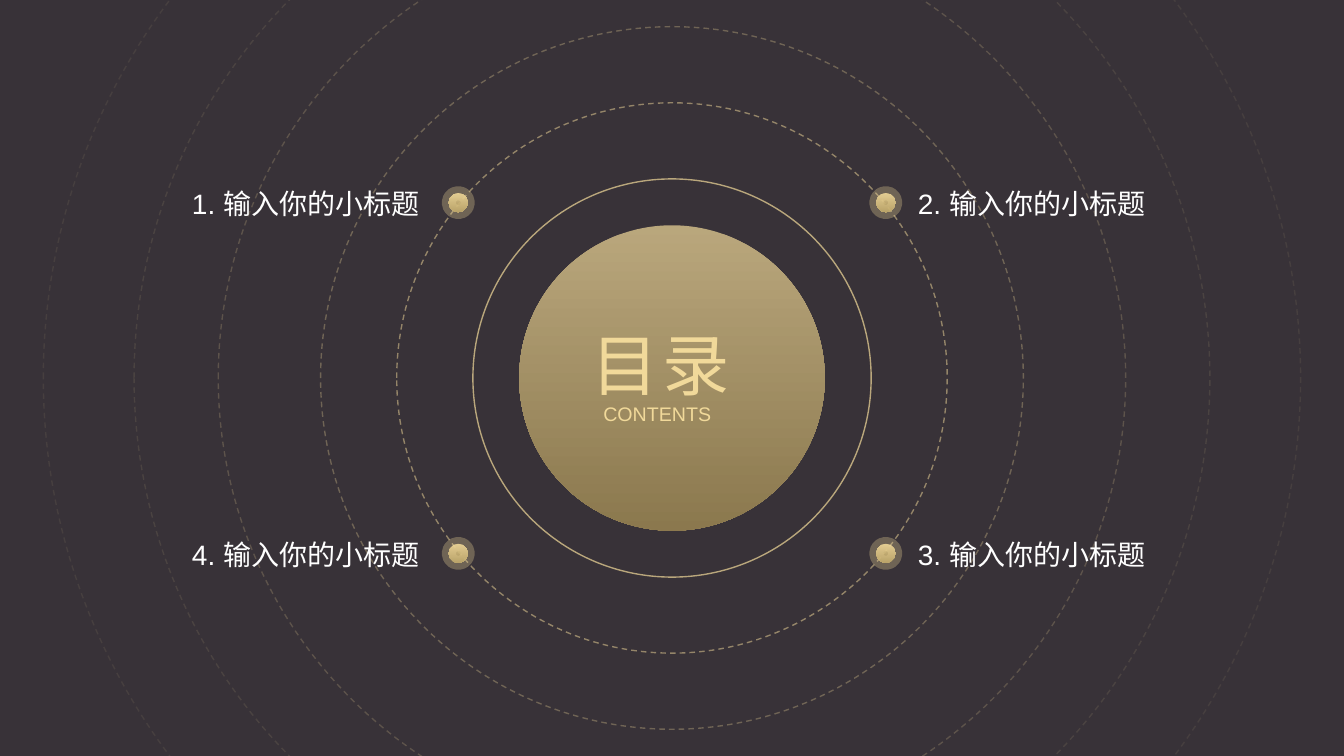
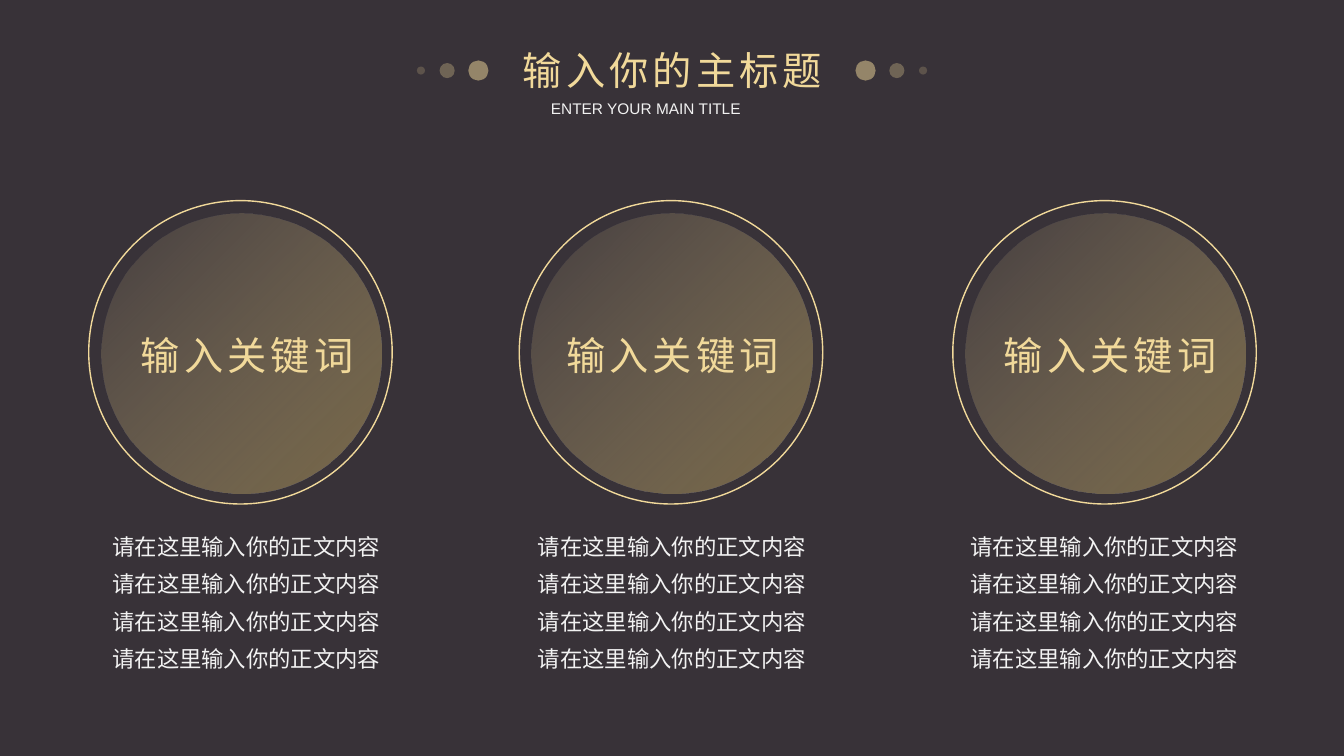
from lxml import etree
from pptx import Presentation
from pptx.dml.color import RGBColor
from pptx.enum.dml import MSO_LINE
from pptx.enum.shapes import MSO_SHAPE
from pptx.enum.text import MSO_ANCHOR, MSO_AUTO_SIZE, PP_ALIGN
from pptx.oxml.ns import qn
from pptx.util import Inches, Pt

# Shared look
BACKGROUND = RGBColor(0x38, 0x32, 0x38)
GOLD = RGBColor(0xF1, 0xD9, 0x9A)
BRONZE = RGBColor(0xAF, 0x97, 0x58)
WHITE = RGBColor(0xFF, 0xFF, 0xFF)
PALE = RGBColor(0xF2, 0xF2, 0xF2)
LATIN_FONT = "Arial"
CHINESE_FONT = "Noto Sans CJK SC"
OVAL = MSO_SHAPE.OVAL
SOLID, DASH = MSO_LINE.SOLID, MSO_LINE.DASH
LEFT, CENTER, JUSTIFY = PP_ALIGN.LEFT, PP_ALIGN.CENTER, PP_ALIGN.JUSTIFY
TITLE_ONLY = 5
WIDTH, HEIGHT = 13.33, 7.5


def set_opacity(element, percents):
    """Give each colour found in the element its opacity, in order."""
    for color, percent in zip(element.iter(qn("a:srgbClr")), percents):
        etree.SubElement(color, qn("a:alpha")).set("val", str(percent * 1000))


def fill_gradient(fill, clockwise_angle):
    fill.gradient()
    fill.gradient_angle = 360 - clockwise_angle
    for stop, color in zip(fill.gradient_stops, (GOLD, BRONZE)):
        stop.color.rgb = color


def add_circle(shapes, x, y, diameter, angle=None, opacity=(),
               line_width=None, dash=SOLID, line_opacity=100):
    """Circle centred on x, y: gradient if an angle is given, flat gold if
    only an opacity is given, otherwise empty."""
    circle = shapes.add_shape(OVAL, Inches(x - diameter / 2), Inches(y - diameter / 2),
                              Inches(diameter), Inches(diameter))
    circle.shadow.inherit = False
    if angle is not None:
        fill_gradient(circle.fill, angle)
    elif opacity:
        circle.fill.solid()
        circle.fill.fore_color.rgb = GOLD
    else:
        circle.fill.background()
    set_opacity(circle.element.spPr, opacity)
    if line_width is None:
        circle.line.fill.background()
    else:
        circle.line.color.rgb = GOLD
        circle.line.width = Pt(line_width)
        circle.line.dash_style = dash
        set_opacity(circle.element.spPr.find(qn("a:ln")), [line_opacity])
    return circle


def write_text(shape, lines, size, color=None, font=LATIN_FONT, align=LEFT,
               line_spacing=1.0, letter_spacing=0):
    """Write the lines into a shape; no colour means the gold gradient."""
    frame = shape.text_frame
    frame_format = {"word_wrap": True, "auto_size": MSO_AUTO_SIZE.SHAPE_TO_FIT_TEXT,
                    "vertical_anchor": MSO_ANCHOR.TOP}
    for name, value in frame_format.items():
        setattr(frame, name, value)
    for index, line in enumerate(lines):
        paragraph = frame.paragraphs[0] if index == 0 else frame.add_paragraph()
        paragraph.alignment = align
        paragraph.line_spacing = line_spacing
        run = paragraph.add_run()
        run.text = line
        for name, value in {"size": Pt(size), "name": font}.items():
            setattr(run.font, name, value)
        properties = run._r.get_or_add_rPr()
        etree.SubElement(properties, qn("a:ea")).set("typeface", CHINESE_FONT)
        if letter_spacing:
            properties.set("spc", str(letter_spacing * 100))
        if color is None:
            fill_gradient(run.font.fill, 90)
        else:
            run.font.color.rgb = color


def add_text(slide, box, lines, size, **text_format):
    text_box = slide.shapes.add_textbox(*map(Inches, box))
    write_text(text_box, lines, size, **text_format)


def place_title(slide, box, text, size, align):
    """Move the title placeholder to the box and bring it to the front."""
    title = slide.shapes.title
    title.left, title.top, title.width, title.height = map(Inches, box)
    write_text(title, [text], size, font=CHINESE_FONT, align=align, letter_spacing=3)
    title.element.getparent().append(title.element)


def add_slide(presentation):
    return presentation.slides.add_slide(presentation.slide_layouts[TITLE_ONLY])


# Contents slide
def add_orbits(slide, x, y):
    add_circle(slide.shapes, x, y, 3.03, angle=90, opacity=(70, 70))
    orbits = [(3.95, SOLID, 70), (5.46, DASH, 50), (6.97, DASH, 30),
              (9, DASH, 20), (10.67, DASH, 10), (12.47, DASH, 7)]
    for diameter, dash, opacity in orbits:
        add_circle(slide.shapes, x, y, diameter, line_width=1, dash=dash,
                   line_opacity=opacity)


def add_entry(slide, x, y, label, label_offset):
    """Glowing dot at x, y with its label beside it."""
    add_circle(slide.shapes, x, y, 0.19, angle=90, opacity=(90, 90),
               line_width=10, line_opacity=30)
    add_text(slide, (x + label_offset, y - 0.21, 2.58, 0.44), [label], 20, color=WHITE)


def build_contents(presentation):
    slide = add_slide(presentation)
    x, y = WIDTH / 2, HEIGHT / 2
    add_orbits(slide, x, y)
    entries = [("1", -1, -1), ("2", 1, -1), ("3", 1, 1), ("4", -1, 1)]
    for number, side, level in entries:
        add_entry(slide, x + side * 2.12, y + level * 1.74, f"{number}. 输入你的小标题",
                  0.22 if side > 0 else -2.74)
    place_title(slide, (x - 0.9, y - 0.59, 1.89, 0.91), "目录", 48, JUSTIFY)
    add_text(slide, (x - 0.78, y + 0.19, 1.61, 0.34), ["CONTENTS"], 14,
             color=GOLD, align=JUSTIFY)


# Keyword slide
def add_heading(slide, x, y):
    """Title centred on x, y with mirrored dots and a subtitle."""
    place_title(slide, (x - 1.82, y - 0.29, 3.65, 0.57), "输入你的主标题", 28, CENTER)
    add_text(slide, (x - 1.3, y + 0.23, 2.62, 0.29), ["ENTER YOUR MAIN TITLE"], 11,
             color=PALE, align=JUSTIFY)
    for side in (-1, 1):
        dots = slide.shapes.add_group_shape()
        for offset, diameter, opacity in [(1.92, 0.2, 50), (2.23, 0.15, 30), (2.49, 0.08, 20)]:
            add_circle(dots.shapes, x + side * offset, y, diameter, opacity=[opacity])


def add_keyword_column(slide, left, top, keyword_offset, body_offset):
    """Ringed disc with its keyword, and body lines below."""
    diameter = 3.01
    x, y = left + diameter / 2, top + diameter / 2
    medal = slide.shapes.add_group_shape()
    add_circle(medal.shapes, x, y, diameter, line_width=1)
    add_circle(medal.shapes, x + 0.01, y + 0.01, 2.78, angle=45, opacity=(7, 55))
    add_text(slide, (left + keyword_offset, top + 1.25, 3.38, 0.57), ["输入关键词"], 28,
             font=CHINESE_FONT, align=CENTER, letter_spacing=3)
    add_text(slide, (left + body_offset, top + 3.14, 2.93, 1.57),
             ["请在这里输入你的正文内容"] * 4, 16, color=PALE, font=CHINESE_FONT,
             align=CENTER, line_spacing=1.4)


def build_keywords(presentation):
    slide = add_slide(presentation)
    add_heading(slide, WIDTH / 2, 0.7)
    columns = [(0.88, -0.12, 0.1), (5.15, -0.17, 0.05), (9.45, -0.13, 0.04)]
    for left, keyword_offset, body_offset in columns:
        add_keyword_column(slide, left, 1.99, keyword_offset, body_offset)


def main():
    presentation = Presentation()
    presentation.slide_width = Inches(WIDTH)
    presentation.slide_height = Inches(HEIGHT)
    background = presentation.slide_master.background.fill
    background.solid()
    background.fore_color.rgb = BACKGROUND
    build_contents(presentation)
    build_keywords(presentation)
    presentation.save("out.pptx")


if __name__ == "__main__":
    main()
